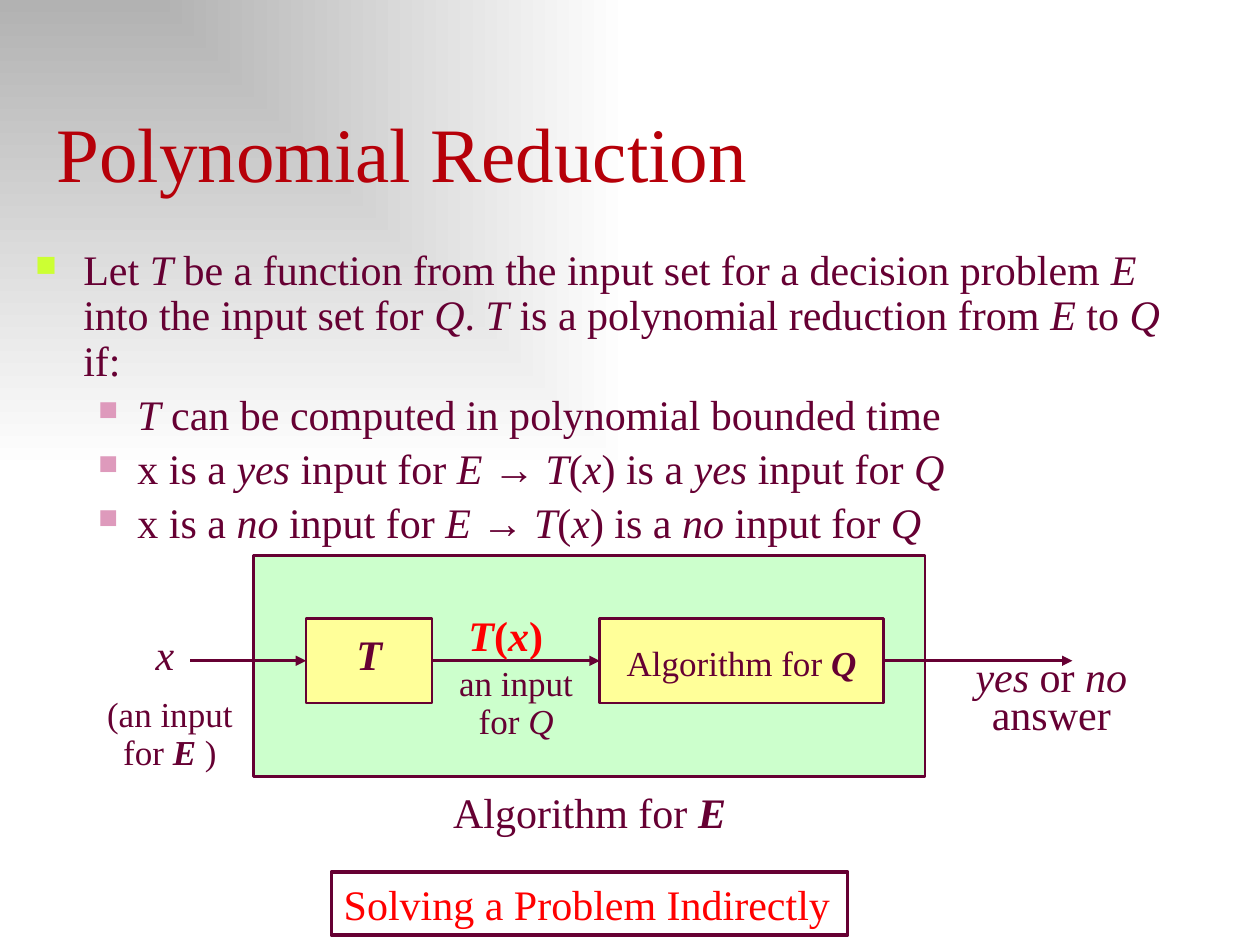
from dataclasses import dataclass

from lxml import etree
from pptx import Presentation
from pptx import util as u
from pptx.dml.color import RGBColor
from pptx.enum import shapes, text
from pptx.oxml import ns


@dataclass(frozen=True)
class Theme:
    font: str = "Times New Roman"
    ink: str = "660033"
    title: str = "B60009"
    accent: str = "FF0000"
    frame: str = "CCFFCC"
    step: str = "FFFF99"
    white: str = "FFFFFF"
    grey: str = "B2B2B2"
    bullets: tuple = ("CCFF33", "DE9ABC")
    title_size: int = 44
    body_size: int = 24
    label_size: int = 20


def add_xml(parent, tag, **attributes):
    return etree.SubElement(parent, ns.qn(tag), attributes)


class SlideBuilder:
    def __init__(self, slide, theme):
        self.slide = slide
        self.theme = theme

    def background(self):
        """Rectangular gradient that starts in the top left corner."""
        fill = self.slide.background.fill
        fill.gradient()
        for stop, color in zip(fill.gradient_stops, (self.theme.grey, self.theme.white)):
            stop.color.rgb = RGBColor.from_string(color)
        gradient = self.slide.element.find(".//" + ns.qn("a:gradFill"))
        gradient.remove(gradient.find(ns.qn("a:lin")))
        direction = add_xml(gradient, "a:path", path="rect")
        add_xml(direction, "a:fillToRect", r="100000", b="100000")

    def set_text(self, paragraph, content, size, color=None, align=None, spacing=None):
        """Fill a paragraph; * switches bold and _ switches italic."""
        paragraph.alignment = align
        paragraph.line_spacing = spacing
        font = paragraph.font
        font.name = self.theme.font
        font.size = u.Pt(size)
        font.color.rgb = RGBColor.from_string(color or self.theme.ink)
        for bold, section in enumerate(content.split("*")):
            for italic, words in enumerate(section.split("_")):
                if words:
                    run = paragraph.add_run()
                    run.text = words
                    run.font.bold = bool(bold % 2)
                    run.font.italic = bool(italic % 2)

    def text_box(self, left, top, width, height):
        shape = self.slide.shapes.add_textbox(*map(u.Cm, (left, top, width, height)))
        shape.text_frame.word_wrap = True
        return shape.text_frame

    def heading(self, content, *place):
        frame = self.text_box(*place)
        frame.vertical_anchor = text.MSO_ANCHOR.BOTTOM
        self.set_text(frame.paragraphs[0], content, self.theme.title_size, self.theme.title)

    def label(self, content, size, *place, color=None):
        frame = self.text_box(*place)
        self.set_text(frame.paragraphs[0], content, size, color,
                      text.PP_ALIGN.CENTER, 0.9)
        return frame

    def bullet_list(self, items, *place):
        frame = self.text_box(*place)
        for index, (level, content) in enumerate(items):
            paragraph = frame.paragraphs[0] if index == 0 else frame.add_paragraph()
            paragraph.level = level
            if index:
                paragraph.space_before = u.Pt(5)
            properties = paragraph._p.get_or_add_pPr()
            margin, indent = ((0.97, -0.97), (2.06, -0.79))[level]
            properties.set("marL", str(u.Cm(margin)))
            properties.set("indent", str(u.Cm(indent)))
            color = add_xml(properties, "a:buClr")
            add_xml(color, "a:srgbClr", val=self.theme.bullets[level])
            add_xml(properties, "a:buSzPct", val=("70000", "65000")[level])
            add_xml(properties, "a:buChar", char="■")
            self.set_text(paragraph, content, self.theme.body_size, spacing=0.9)

    def box(self, fill, *place, line_width=1.5):
        shape = self.slide.shapes.add_shape(
            shapes.MSO_SHAPE.RECTANGLE, *map(u.Cm, place))
        shape.shadow.inherit = False
        shape.fill.solid()
        shape.fill.fore_color.rgb = RGBColor.from_string(fill)
        shape.line.color.rgb = RGBColor.from_string(self.theme.ink)
        shape.line.width = u.Pt(line_width)
        return shape.text_frame

    def arrow(self, start, end, height):
        connector = self.slide.shapes.add_connector(
            shapes.MSO_CONNECTOR.STRAIGHT, *map(u.Cm, (start, height, end, height)))
        connector.line.color.rgb = RGBColor.from_string(self.theme.ink)
        connector.line.width = u.Pt(1.5)
        properties = connector._element.spPr
        add_xml(properties.find(ns.qn("a:ln")), "a:tailEnd", type="triangle")
        add_xml(properties, "a:effectLst")


theme = Theme()
presentation = Presentation()
presentation.slide_width, presentation.slide_height = u.Cm(25.4), u.Cm(19.05)
builder = SlideBuilder(presentation.slides.add_slide(presentation.slide_layouts[6]), theme)
builder.background()

# Title and definition
builder.heading("Polynomial Reduction", 0.89, 2.01, 24, 2.11)
definition = [
    (0, "Let _T_ be a function from the input set for a decision problem _E_ into "
        "the input set for _Q_. _T_ is a polynomial reduction from _E_ to _Q_ if:"),
    (1, "_T_ can be computed in polynomial bounded time"),
]
definition += [
    (1, f"x is a _{answer}_ input for _E _→ _T_(_x_) is a _{answer}_ input for _Q_")
    for answer in ("yes", "no")
]
builder.bullet_list(definition, 0.46, 4.9, 23.93, 13.26)

# Algorithm frame with its two steps
step_top, step_height = 12.47, 1.7
t_left, t_width = 6.17, 2.54
q_left, q_width = 12.09, 5.72
t_right, q_right = t_left + t_width, q_left + q_width
builder.box(theme.frame, 5.11, 11.2, 13.54, 4.45)
for left, width in ((t_left, t_width), (q_left, q_width)):
    builder.box(theme.step, left, step_top, width, step_height)

# Flow from input to answer
for start, end in ((3.84, t_left), (t_right, q_left), (q_right, 21.62)):
    builder.arrow(start, end, step_top + step_height / 2)

# Labels
large, small = theme.body_size, theme.label_size
builder.label("_x_", large, 2.79, 12.67, 1.07, 1.17)
builder.label("(an input for *_E _*)", small, 1.52, 13.94, 3.81, 1.78)
builder.label("*_T_*", large, 6.81, 12.67, 1.27, 1.17)
builder.label("*_T_(_x_)*", large, t_right, 12.27, 2.97, 1.17, color=theme.accent)
builder.label("an input for _Q_", small, 8.92, 13.31, 2.97, 1.78)
builder.label("Algorithm for *_Q_*", small, q_left, 12.9, q_width, 1.02)
builder.label("Algorithm for *_E_*", large, 7.44, 15.85, 8.89, 1.17)
answer_frame = builder.label("_yes_ or _no_", large, 18.44, 13.11, 5.51, 1.88)
builder.set_text(answer_frame.add_paragraph(), "answer", large,
                 align=text.PP_ALIGN.CENTER, spacing=0.7)

# Caption
caption = builder.box(theme.white, 6.68, 17.58, 10.41, 1.27, line_width=2)
caption.word_wrap = False
caption.vertical_anchor = text.MSO_ANCHOR.TOP
builder.set_text(caption.paragraphs[0], "Solving a Problem Indirectly", large,
                 theme.accent, text.PP_ALIGN.LEFT)

presentation.save("out.pptx")
